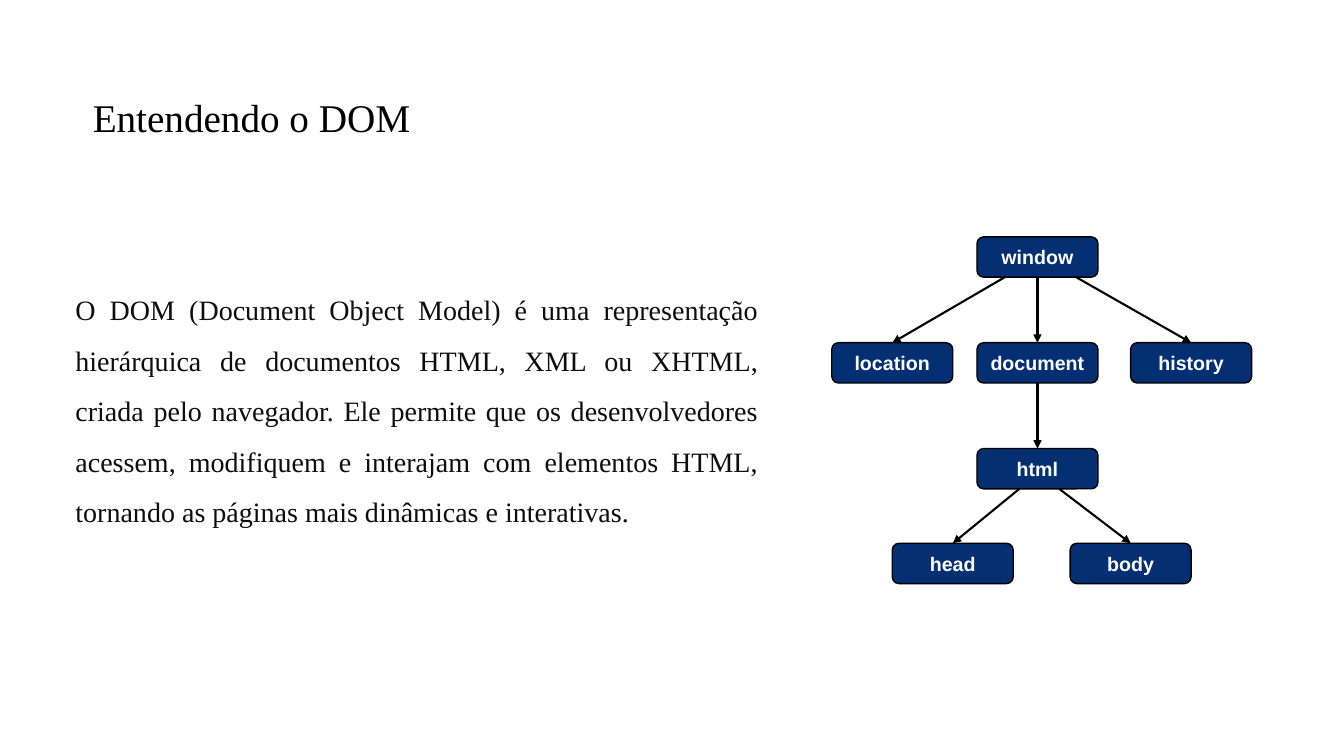
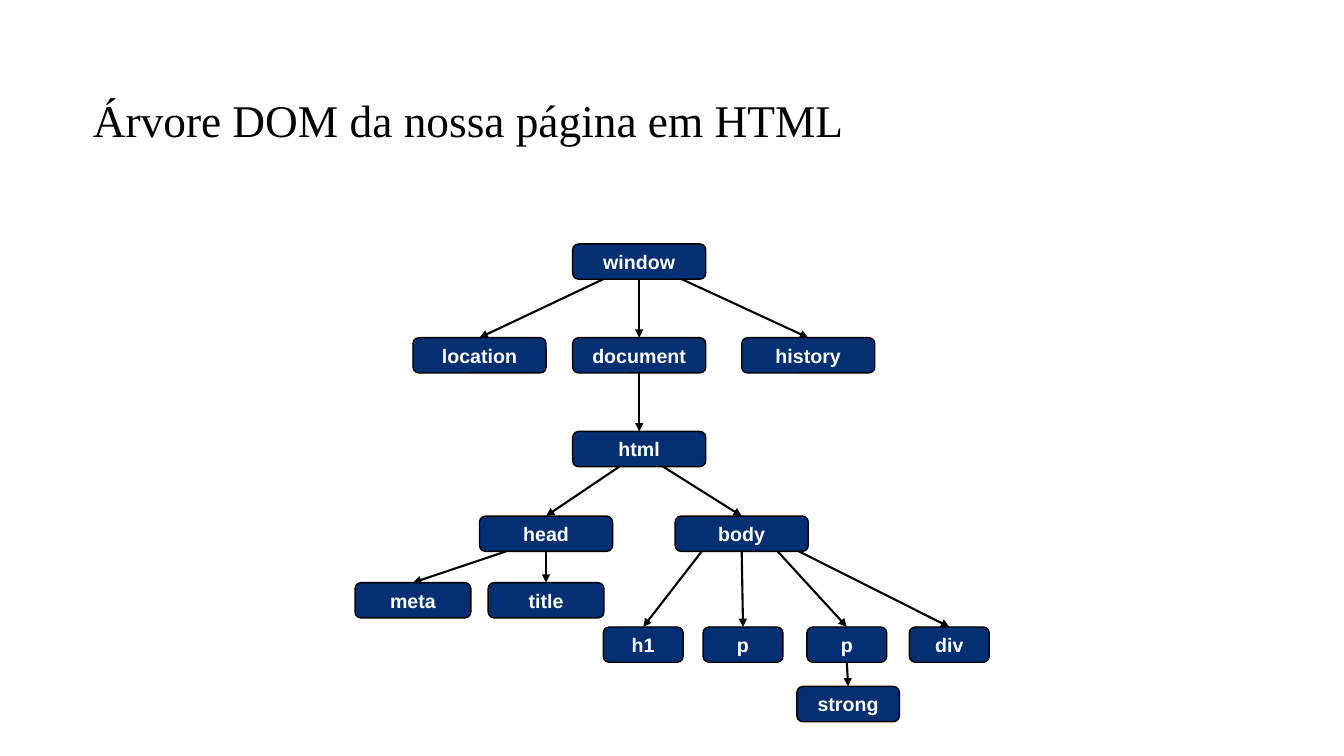
import pptx
import pptx.util
import pptx.dml.color
import pptx.enum.shapes
import pptx.enum.text
from collections import namedtuple
from dataclasses import dataclass
from lxml import etree
from pptx.util import Inches, Pt


@dataclass(frozen=True)
class Theme:
    title_font: str = "Times New Roman"
    node_font: str = "Arial"
    ink: str = "000000"
    body_ink: str = "0D0D0D"
    node_fill: str = "043073"
    node_ink: str = "FFFFFF"
    body_size: float = 20
    node_size: float = 14
    node_line: float = 1
    arrow_line: float = 1.5


THEME = Theme()

# Horizontal measures are in node widths: x is the centre relative to the root,
# leave is where the arrow departs relative to the centre of the parent.
Node = namedtuple("Node", "key label parent level x leave width", defaults=(1,))

BROWSER_TREE = [
    Node("window", "window", None, 0, 0, 0),
    Node("document", "document", "window", 1, 0, 0),
    Node("location", "location", "window", 1, -1.2, -0.27),
    Node("history", "history", "window", 1, 1.27, 0.32),
    Node("html", "html", "document", 2, 0, 0),
    Node("head", "head", "html", 3, -0.7, -0.15),
    Node("body", "body", "html", 3, 0.77, 0.18),
]
PAGE_TREE = BROWSER_TREE + [
    Node("meta", "meta", "head", 4, -1.7, -0.3, 0.87),
    Node("title", "title", "head", 4, -0.7, 0, 0.87),
    Node("h1", "h1", "body", 5, 0.03, -0.3, 0.6),
    Node("p1", "p", "body", 5, 0.78, 0, 0.6),
    Node("p2", "p", "body", 5, 1.56, 0.27, 0.6),
    Node("div", "div", "body", 5, 2.33, 0.43, 0.6),
    Node("strong", "strong", "p2", 6, 1.57, 0, 0.77),
]

SLIDES = [
    dict(
        title="Entendendo o DOM", title_size=28,
        body="O DOM (Document Object Model) é uma representação hierárquica de "
             "documentos HTML, XML ou XHTML, criada pelo navegador. Ele permite que "
             "os desenvolvedores acessem, modifiquem e interajam com elementos HTML, "
             "tornando as páginas mais dinâmicas e interativas.",
        tree=BROWSER_TREE, root_x=10.29, node=(1.2, 0.4),
        tops=[2.35, 3.4, 4.45, 5.39],
    ),
    dict(
        title="Árvore DOM da nossa página em HTML", title_size=32.4, body=None,
        tree=PAGE_TREE, root_x=6.34, node=(1.32, 0.35),
        tops=[2.42, 3.35, 4.28, 5.12, 5.78, 6.22, 6.81],
    ),
]


def rgb(value):
    return pptx.dml.color.RGBColor.from_string(value)


def style_paragraph(p, font, size, color, align, bold=False):
    p.alignment = align
    p.font.name, p.font.size, p.font.bold = font, Pt(size), bold
    p.font.color.rgb = rgb(color)


def set_title(slide, text, size):
    sp = slide.shapes.title
    sp.left, sp.top, sp.width, sp.height = map(Inches, (0.82, 0.93, 10.29, 0.49))
    tf = sp.text_frame
    tf.text = text
    tf.auto_size = pptx.enum.text.MSO_AUTO_SIZE.NONE
    tf.vertical_anchor = pptx.enum.text.MSO_ANCHOR.TOP
    p = tf.paragraphs[0]
    p.line_spacing = 0.9
    style_paragraph(p, THEME.title_font, size, THEME.ink, pptx.enum.text.PP_ALIGN.LEFT)


def add_body(slide, text):
    sp = slide.shapes.add_textbox(*map(Inches, (0.65, 2.69, 6.97, 2.76)))
    tf = sp.text_frame
    tf.word_wrap = True
    tf.text = text
    p = tf.paragraphs[0]
    p.line_spacing, p.space_before = 1.5, Pt(10)
    style_paragraph(p, THEME.title_font, THEME.body_size, THEME.body_ink,
                    pptx.enum.text.PP_ALIGN.JUSTIFY)


def add_node(slide, label, center, top, width, height):
    sp = slide.shapes.add_shape(
        pptx.enum.shapes.MSO_SHAPE.ROUNDED_RECTANGLE,
        Inches(center - width / 2), Inches(top), Inches(width), Inches(height))
    sp.shadow.inherit = False
    sp.fill.solid()
    sp.fill.fore_color.rgb = rgb(THEME.node_fill)
    sp.line.color.rgb = rgb(THEME.ink)
    sp.line.width = Pt(THEME.node_line)
    tf = sp.text_frame
    tf.margin_left = tf.margin_right = tf.margin_top = tf.margin_bottom = 0
    tf.vertical_anchor = pptx.enum.text.MSO_ANCHOR.MIDDLE
    tf.text = label
    style_paragraph(tf.paragraphs[0], THEME.node_font, THEME.node_size,
                    THEME.node_ink, pptx.enum.text.PP_ALIGN.CENTER, bold=True)
    return sp


def add_arrow(slide, parent, child, leave):
    """Arrow from the parent's bottom, leave EMU off its centre, to the child's top."""
    cx = slide.shapes.add_connector(
        pptx.enum.shapes.MSO_CONNECTOR.STRAIGHT,
        parent.left + parent.width // 2 + leave, parent.top + parent.height,
        child.left + child.width // 2, child.top)
    if leave == 0:
        cx.begin_connect(parent, 2)
    cx.end_connect(child, 0)
    cx.line.color.rgb = rgb(THEME.ink)
    cx.line.width = Pt(THEME.arrow_line)
    ns = pptx.oxml.ns.qn
    etree.SubElement(cx.line._get_or_add_ln(), ns("a:tailEnd"), type="triangle")
    etree.SubElement(cx._element.spPr, ns("a:effectLst"))


def add_tree(slide, tree, root_x, node_size, tops):
    width, height = node_size
    boxes = {n.key: add_node(slide, n.label, root_x + n.x * width, tops[n.level],
                             n.width * width, height) for n in tree}
    for n in tree:
        if n.parent:
            add_arrow(slide, boxes[n.parent], boxes[n.key], Inches(n.leave * width))


def main():
    prs = pptx.Presentation()
    prs.slide_width, prs.slide_height = Inches(13.33), Inches(7.5)
    for content in SLIDES:
        slide = prs.slides.add_slide(prs.slide_layouts[5])
        set_title(slide, content["title"], content["title_size"])
        if content["body"]:
            add_body(slide, content["body"])
        add_tree(slide, content["tree"], content["root_x"], content["node"],
                 content["tops"])
    prs.save("out.pptx")


if __name__ == "__main__":
    main()
